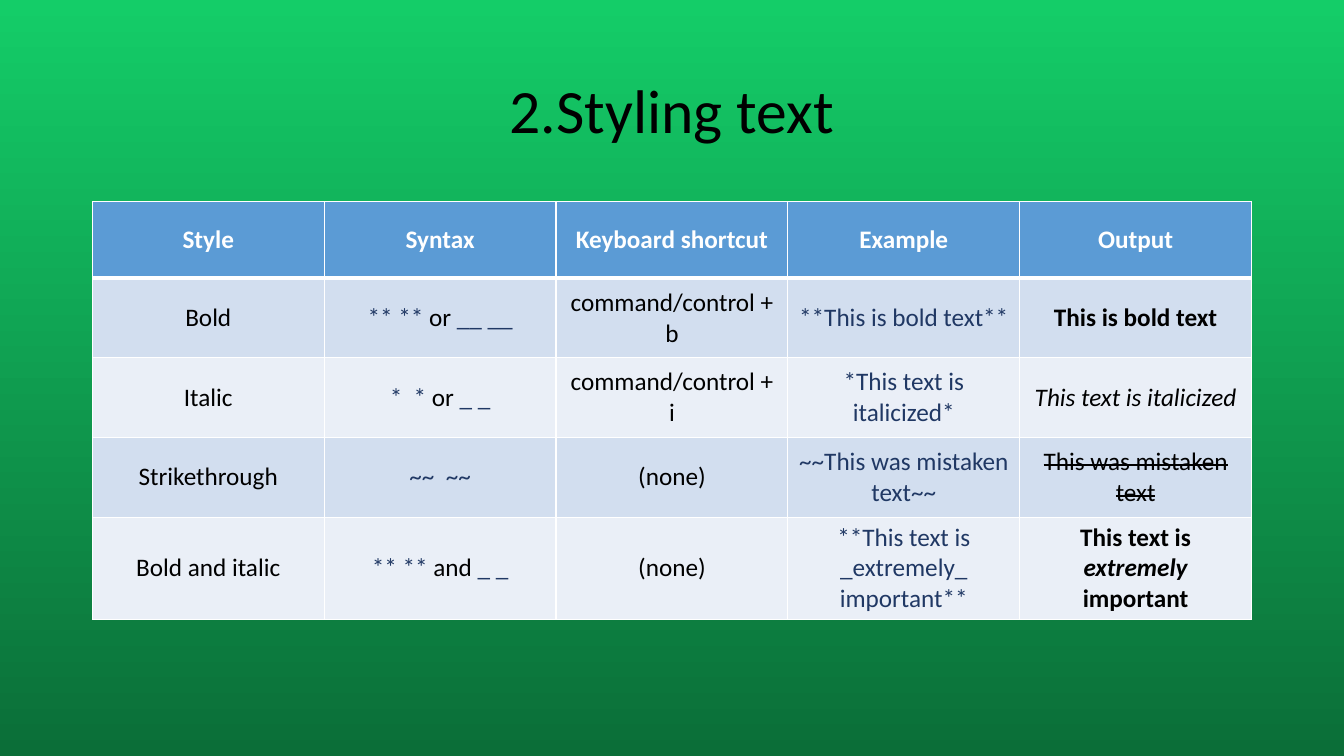
"""Build a slide with a table of text styles and their Markdown syntax."""
import lxml.etree
import pptx
import pptx.dml.color
import pptx.enum.text
import pptx.oxml.ns
import pptx.util

Pt = pptx.util.Pt
FONT = "Calibri"
COLORS = {
    "top": "14CD68", "bottom": "0B6E38", "black": "000000", "white": "FFFFFF",
    "navy": "203864", "header": "5B9BD5", "odd": "D2DEEF", "even": "EAEFF7",
}
LOOKS = {
    "plain": {},
    "code": {"color": "navy"},
    "header": {"color": "white", "bold": True},
    "bold": {"bold": True},
    "italic": {"italic": True},
    "strike": {"strike": True},
    "bold italic": {"bold": True, "italic": True},
}
HEADINGS = ["Style", "Syntax", "Keyboard shortcut", "Example", "Output"]
STYLES = [
    ("Bold", [("** **", "code"), (" or ", "plain"), ("__ __", "code")],
     "command/control + b", "**This is bold text**",
     [("This is bold text", "bold")]),
    ("Italic", [("*  *", "code"), (" or ", "plain"), ("_ _", "code")],
     "command/control + i", "*This text is italicized*",
     [("This text is italicized", "italic")]),
    ("Strikethrough", [("~~  ~~", "code")],
     "(none)", "~~This was mistaken text~~",
     [("This was mistaken text", "strike")]),
    ("Bold and italic", [("** **", "code"), (" and ", "plain"), ("_ _", "code")],
     "(none)", "**This text is _extremely_ important**",
     [("This text is ", "bold"), ("extremely", "bold italic"), (" important", "bold")]),
]
LEFT, WIDTH = 66, 828
TABLE_TOP, HEADER_HEIGHT, ROW_HEIGHT = 144, 54.7, 56.9


def rgb(name):
    return pptx.dml.color.RGBColor.from_string(COLORS[name])


def add_span(para, text, size, color="black", bold=False, italic=False, strike=False):
    span = para.add_run()
    span.text = text
    font = span.font
    font.name, font.size, font.bold, font.italic = FONT, Pt(size), bold, italic
    font.color.rgb = rgb(color)
    if strike:
        span._r.get_or_add_rPr().set("strike", "sngStrike")


def paint_background(slide):
    fill = slide.background.fill
    fill.gradient()
    fill.gradient_angle = 270
    for stop, color in zip(fill.gradient_stops, ("top", "bottom")):
        stop.color.rgb = rgb(color)


def fill_title(slide, text):
    title = slide.shapes.title
    title.left, title.top, title.width, title.height = map(Pt, (LEFT, 28.8, WIDTH, 104.4))
    title.text_frame.vertical_anchor = pptx.enum.text.MSO_ANCHOR.MIDDLE
    para = title.text_frame.paragraphs[0]
    para.alignment = pptx.enum.text.PP_ALIGN.CENTER
    para.line_spacing = 0.9
    add_span(para, text, 44)


def add_borders(cell, top, bottom):
    properties = cell._tc.get_or_add_tcPr()
    qn = pptx.oxml.ns.qn
    for side, width in (("L", 1), ("R", 1), ("T", top), ("B", bottom)):
        line = lxml.etree.SubElement(properties, qn("a:ln" + side), w=str(Pt(width)))
        fill = lxml.etree.SubElement(line, qn("a:solidFill"))
        lxml.etree.SubElement(fill, qn("a:srgbClr"), val=COLORS["white"])


def fill_cell(cell, spans, fill, top=1, bottom=1):
    add_borders(cell, top, bottom)
    cell.fill.solid()
    cell.fill.fore_color.rgb = rgb(fill)
    cell.vertical_anchor = pptx.enum.text.MSO_ANCHOR.MIDDLE
    para = cell.text_frame.paragraphs[0]
    para.alignment = pptx.enum.text.PP_ALIGN.CENTER
    for text, look in spans:
        add_span(para, text, 18, **LOOKS[look])


def add_style_table(slide):
    height = HEADER_HEIGHT + ROW_HEIGHT * len(STYLES)
    frame = slide.shapes.add_table(
        len(STYLES) + 1, len(HEADINGS), Pt(LEFT), Pt(TABLE_TOP), Pt(WIDTH), Pt(height))
    table = frame.table
    for column in table.columns:
        column.width = Pt(WIDTH / len(HEADINGS))
    for index, row in enumerate(table.rows):
        row.height = Pt(ROW_HEIGHT if index else HEADER_HEIGHT)
    for cell, heading in zip(table.rows[0].cells, HEADINGS):
        fill_cell(cell, [(heading, "header")], "header", bottom=3)
    for index, (style, syntax, shortcut, example, output) in enumerate(STYLES, 1):
        contents = [[(style, "plain")], syntax, [(shortcut, "plain")],
                    [(example, "code")], output]
        for cell, spans in zip(table.rows[index].cells, contents):
            fill_cell(cell, spans, "odd" if index % 2 else "even",
                      top=3 if index == 1 else 1)


def main():
    deck = pptx.Presentation()
    deck.slide_width, deck.slide_height = Pt(960), Pt(540)
    slide = deck.slides.add_slide(deck.slide_layouts.get_by_name("Title Only"))
    paint_background(slide)
    fill_title(slide, "2.Styling text")
    add_style_table(slide)
    deck.save("out.pptx")


main()
